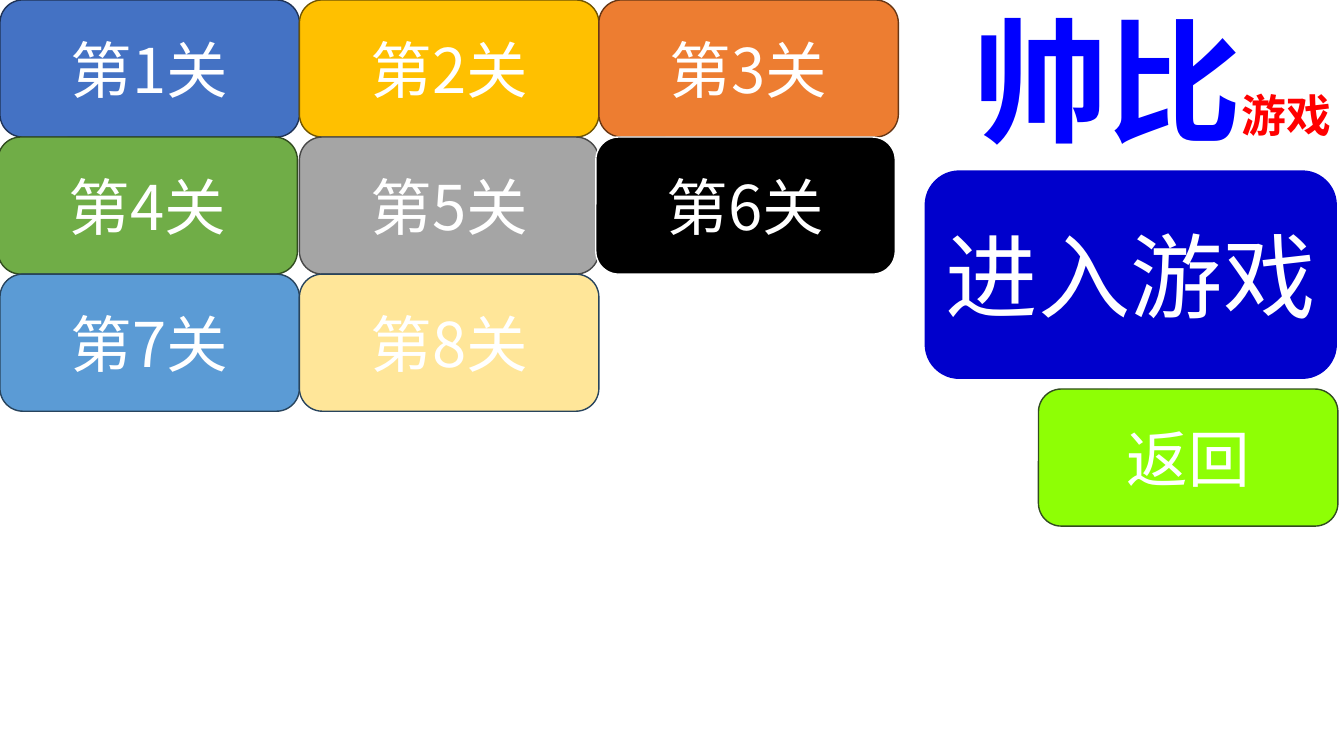
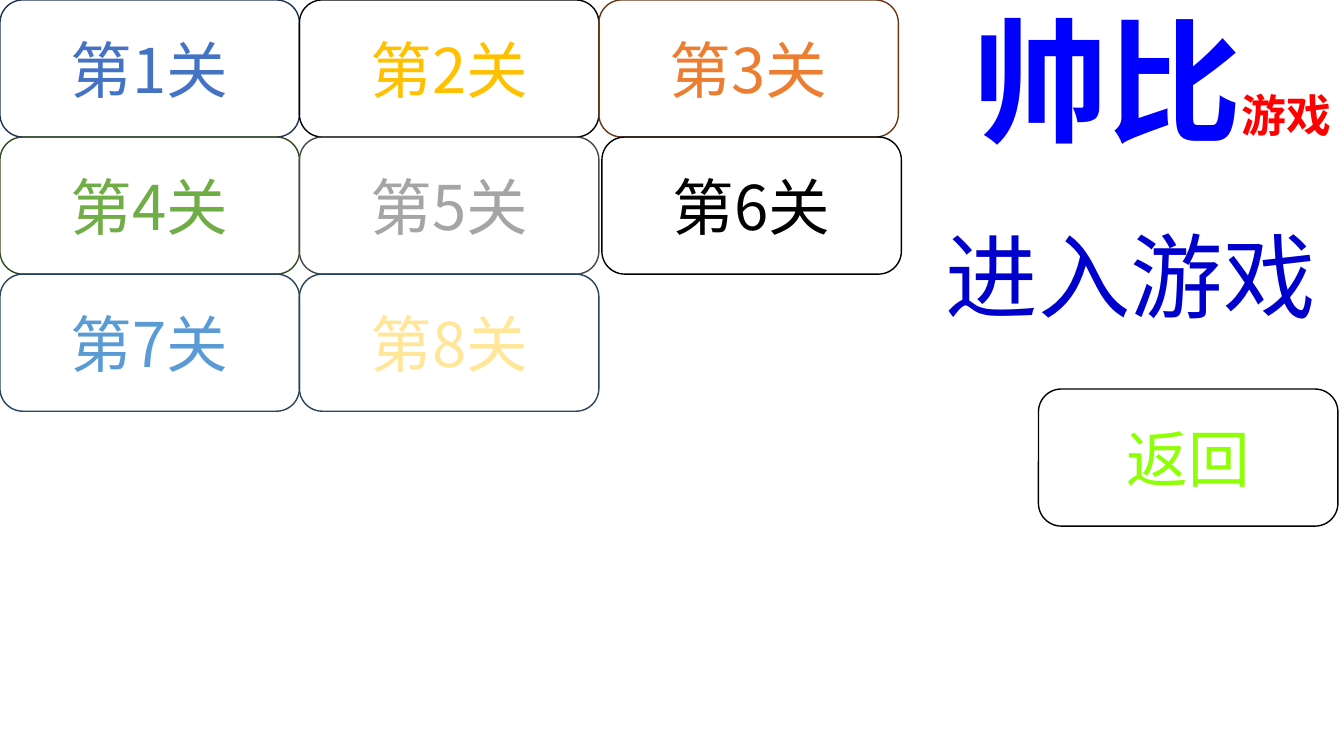
"""Build two level-selection screens: one with filled buttons, one with outlined buttons."""
from lxml.etree import SubElement
from pptx import Presentation
from pptx.dml.color import RGBColor
from pptx.enum.lang import MSO_LANGUAGE_ID
from pptx.enum.shapes import MSO_SHAPE
from pptx.enum.text import MSO_ANCHOR, MSO_AUTO_SIZE, PP_ALIGN
from pptx.oxml.ns import qn
from pptx.util import Inches, Pt

BODY_FONT = "Noto Sans CJK SC"
TITLE_BOX = (9.54, -0.07, 3.78, 1.72)
TITLE_RUNS = [
    ("帅比", 96, "Noto Sans CJK JP", "0000FF"),
    ("游戏", 32, BODY_FONT, "FF0000"),
]
COLUMNS = 3
BUTTON_WIDTH, BUTTON_HEIGHT = 2.97, 1.36
LEVELS = [
    ("第1关", "4472C4", "1E3256"),
    ("第2关", "FFC000", "705400"),
    ("第3关", "ED7D31", "683715"),
    ("第4关", "70AD47", "314C1F"),
    ("第5关", "A5A5A5", "484848"),
    ("第6关", "000000", "FFFFFF"),
    ("第7关", "5B9BD5", "28445D"),
    ("第8关", "FFE699", "28445D"),
]
START = ("进入游戏", "0000CC", None)
START_BOX = (9.17, 1.69, 4.09, 2.07)
BACK = ("返回", "8EFF05", "314C1F")
BACK_BOX = (10.3, 3.86, BUTTON_WIDTH, BUTTON_HEIGHT)
SCREENS = [
    {"filled": True, "borders": {}, "shifts": {"第4关": -0.02, "第6关": -0.03}},
    {
        "filled": False,
        "borders": {"第2关": "000000", "第6关": "000000", "返回": "000000"},
        "shifts": {"第6关": 0.03},
    },
]


def color(value):
    """Return the colour for a hex string."""
    return RGBColor.from_string(value)


def style_font(font, size, name, value, bold=False):
    """Format a font for Latin and Chinese text alike."""
    font.size = Pt(size)
    font.bold = bold
    font.color.rgb = color(value)
    font.name = name
    font.language_id = MSO_LANGUAGE_ID.SIMPLIFIED_CHINESE
    SubElement(font._rPr, qn("a:ea")).set("typeface", name)


def add_title(slide):
    """Place the two-coloured game title."""
    title = slide.shapes.title
    title.left, title.top, title.width, title.height = map(Inches, TITLE_BOX)
    frame = title.text_frame
    frame.auto_size = MSO_AUTO_SIZE.NONE
    frame.word_wrap = True
    frame.vertical_anchor = MSO_ANCHOR.TOP
    paragraph = frame.paragraphs[0]
    paragraph.alignment = PP_ALIGN.CENTER
    for text, size, name, value in TITLE_RUNS:
        run = paragraph.add_run()
        run.text = text
        style_font(run.font, size, name, value, bold=True)


def add_button(slide, button, box, screen, size=44):
    """Draw a rounded button, filled or outlined as the screen asks."""
    text, value, border = button
    border = screen["borders"].get(text, border)
    shape = slide.shapes.add_shape(MSO_SHAPE.ROUNDED_RECTANGLE, *map(Inches, box))
    shape.shadow.inherit = False
    if screen["filled"]:
        shape.fill.solid()
        shape.fill.fore_color.rgb = color(value)
    else:
        shape.fill.background()
    if border:
        shape.line.color.rgb = color(border)
        shape.line.width = Pt(1)
    else:
        shape.line.fill.background()
    frame = shape.text_frame
    frame.word_wrap = True
    frame.vertical_anchor = MSO_ANCHOR.MIDDLE
    paragraph = frame.paragraphs[0]
    paragraph.text = text
    paragraph.alignment = PP_ALIGN.CENTER
    style_font(paragraph.font, size, BODY_FONT, "FFFFFF" if screen["filled"] else value)


def add_screen(presentation, screen):
    """Add one slide with its title, level grid and two commands."""
    slide = presentation.slides.add_slide(presentation.slide_layouts[5])
    add_title(slide)
    for index, level in enumerate(LEVELS):
        row, column = divmod(index, COLUMNS)
        left = column * BUTTON_WIDTH + screen["shifts"].get(level[0], 0)
        box = (left, row * BUTTON_HEIGHT, BUTTON_WIDTH, BUTTON_HEIGHT)
        add_button(slide, level, box, screen)
    add_button(slide, START, START_BOX, screen, size=66)
    add_button(slide, BACK, BACK_BOX, screen)


presentation = Presentation()
presentation.slide_width = Inches(13.33)
presentation.slide_height = Inches(7.5)
for screen in SCREENS:
    add_screen(presentation, screen)
presentation.save("out.pptx")
